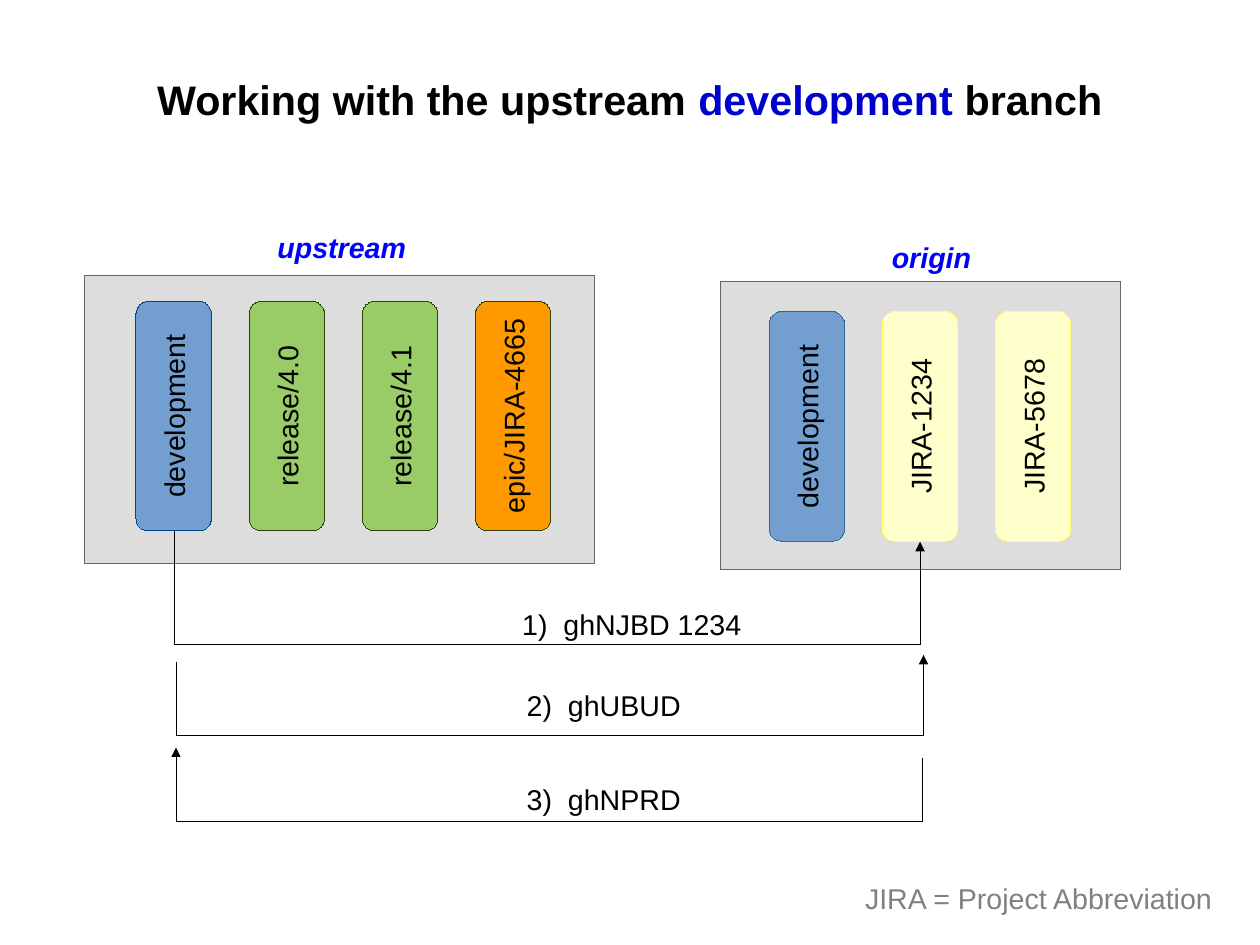
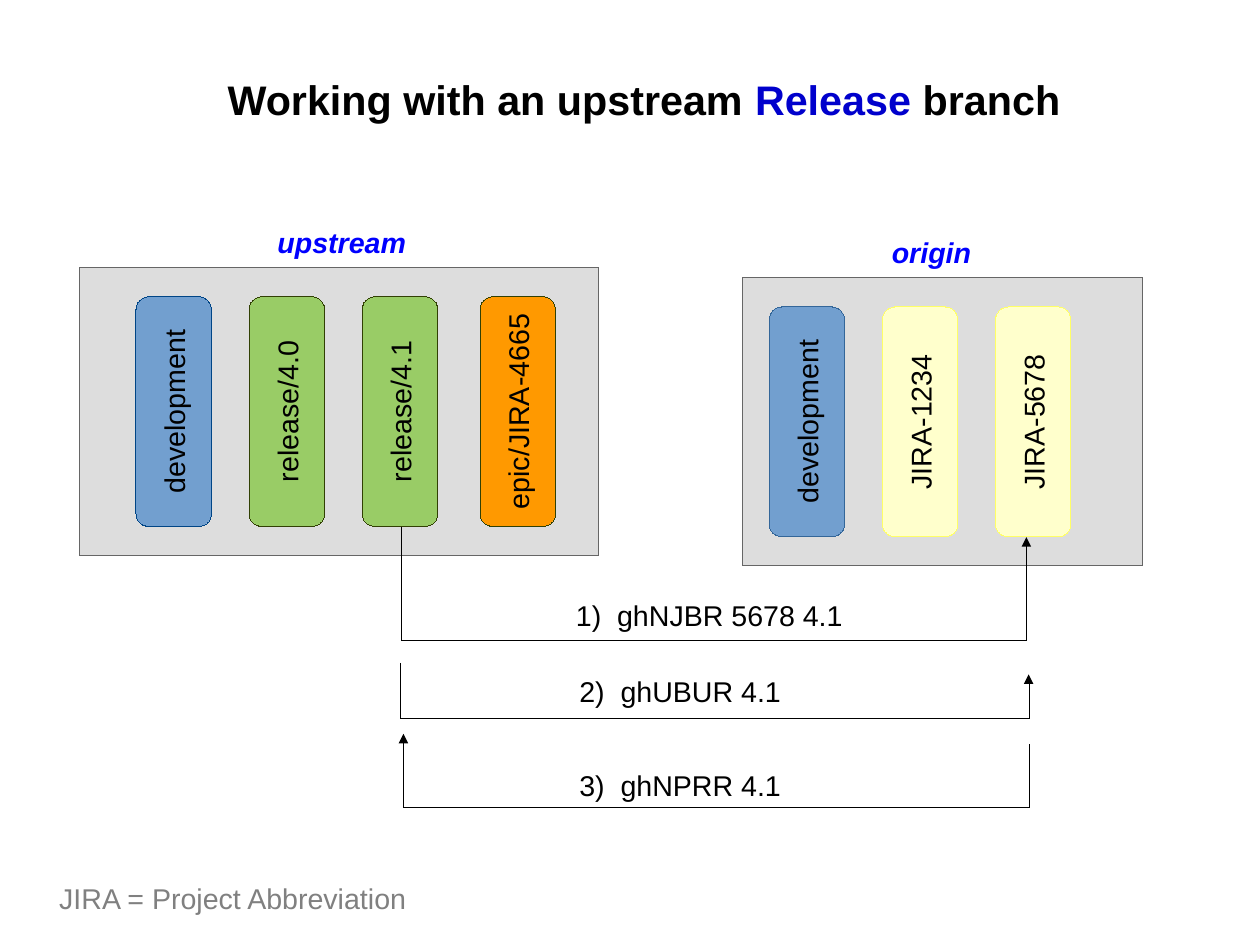
from dataclasses import dataclass
from math import copysign

from lxml.etree import SubElement
from pptx import Presentation
from pptx.dml.color import RGBColor
from pptx.enum.shapes import MSO_CONNECTOR, MSO_SHAPE
from pptx.enum.text import MSO_ANCHOR, MSO_AUTO_SIZE, PP_ALIGN
from pptx.oxml.ns import qn
from pptx.util import Cm, Inches, Pt


@dataclass(frozen=True)
class Theme:
    font: str = "Arial"
    title_size: int = 26
    body_size: int = 18
    text: str = "000000"
    accent: str = "0000CC"
    label: str = "0000FF"
    note: str = "808080"
    white: str = "FFFFFF"
    panel: tuple = ("DDDDDD", "666666")
    upstream_dev: tuple = ("729FCF", "004586")
    origin_dev: tuple = ("729FCF", "336699")
    release: tuple = ("99CC66", "314004")
    epic: tuple = ("FF9900", "314004")
    issue: tuple = ("FFFFCC", "FFFF66")


@dataclass(frozen=True)
class Repo:
    name: str
    label_left: float
    label_width: float
    first_x: float
    branches: tuple


@dataclass(frozen=True)
class Step:
    """A command whose path drops from start to bottom and rises to end."""
    command: str
    at: tuple
    start: tuple
    end: tuple
    bottom: float
    arrow: str = "tailEnd"


T = Theme()
UPSTREAM = Repo("upstream", 2.29, 1.4, 1.52, (
    ("development", T.upstream_dev), ("release/4.0", T.release),
    ("release/4.1", T.release), ("epic/JIRA-4665", T.epic)))
ORIGIN = Repo("origin", 7.6, 1.1, 7.06, (
    ("development", T.origin_dev), ("JIRA-1234", T.issue),
    ("JIRA-5678", T.issue)))
PITCH = 0.99
BRANCH_LENGTH, BRANCH_WIDTH = 2.01, 0.66
PANEL_HEIGHT = 2.52
LABEL_RISE = 1.68
TEXT_HEIGHT = 0.38


def rgb(value):
    return RGBColor.from_string(value)


def set_font(font, color=T.text, size=T.body_size, bold=False, italic=False):
    font.name, font.size = T.font, Pt(size)
    font.bold, font.italic = bold, italic
    font.color.rgb = rgb(color)


def set_hairline(sp, color):
    """Colour the outline and state its zero width, which line.width omits."""
    sp.line.color.rgb = rgb(color)
    ln = sp._element.spPr.find(qn("a:ln"))
    ln.set("w", "0")
    return ln


def add_box(s, kind, box, fill, line=None):
    sp = s.shapes.add_shape(kind, *map(Inches, box))
    sp.shadow.inherit = False
    sp.fill.solid()
    sp.fill.fore_color.rgb = rgb(fill)
    if line:
        set_hairline(sp, line)
    else:
        sp.line.fill.background()
    return sp


def write_centred(sp, text, **style):
    tf = sp.text_frame
    tf.word_wrap = False
    tf.vertical_anchor = MSO_ANCHOR.MIDDLE
    p = tf.paragraphs[0]
    p.text = text
    p.alignment = PP_ALIGN.CENTER
    set_font(p.font, **style)


def add_text(s, text, left, top, width, color=T.text):
    sp = s.shapes.add_textbox(*map(Inches, (left, top, width, TEXT_HEIGHT)))
    tf = sp.text_frame
    tf.word_wrap = False
    tf.auto_size = MSO_AUTO_SIZE.SHAPE_TO_FIT_TEXT
    p = tf.paragraphs[0]
    p.text = text
    set_font(p.font, color)


def set_title(s, parts, left, width):
    """Write the title with its middle part in the accent colour."""
    sp = s.shapes.title
    sp.left, sp.top, sp.width, sp.height = map(Inches, (left, 0.6, width, 0.5))
    tf = sp.text_frame
    tf.word_wrap = False
    tf.auto_size = MSO_AUTO_SIZE.NONE
    tf.vertical_anchor = MSO_ANCHOR.TOP
    p = tf.paragraphs[0]
    p.alignment = PP_ALIGN.CENTER
    for text, color in zip(parts, (T.text, T.accent, T.text)):
        r = p.add_run()
        r.text = text
        set_font(r.font, color, T.title_size, bold=True)


def add_repo(s, repo, panel, center_y, last_nudge=0):
    """Draw a labelled panel and its upright branches around center_y."""
    label = add_box(s, MSO_SHAPE.RECTANGLE,
                    (repo.label_left, center_y - LABEL_RISE, repo.label_width, 0.4), T.white)
    write_centred(label, repo.name, color=T.label, bold=True, italic=True)
    left, top, width = panel
    add_box(s, MSO_SHAPE.RECTANGLE, (left, top, width, PANEL_HEIGHT), *T.panel)
    last = len(repo.branches) - 1
    for i, (name, colors) in enumerate(repo.branches):
        x = repo.first_x + i * PITCH + (last_nudge if i == last else 0)
        box = (x - BRANCH_LENGTH / 2, center_y - BRANCH_WIDTH / 2, BRANCH_LENGTH, BRANCH_WIDTH)
        sp = add_box(s, MSO_SHAPE.ROUNDED_RECTANGLE, box, *colors)
        sp.rotation = 270
        write_centred(sp, name)


def add_u_connector(s, start, end, bottom, arrow):
    """Join two points by an elbow, turned on its side, that dips to bottom."""
    (x1, y1), (x2, y2) = start, end
    drop = y2 - y1
    cx, cy = (x1 + x2) / 2, (y1 + y2) / 2
    dx, dy = abs(drop) / 2, copysign((x2 - x1) / 2, drop)
    line = s.shapes.add_connector(
        MSO_CONNECTOR.ELBOW, *map(Inches, (cx + dx, cy - dy, cx - dx, cy + dy)))
    ln = set_hairline(line, T.text)
    SubElement(ln, qn(f"a:{arrow}"), type="triangle")
    props = line._element.spPr
    props.find(qn("a:xfrm")).set("rot", str((270 if drop > 0 else 90) * 60000))
    guides = props.find(qn("a:prstGeom")).get_or_add_avLst()
    SubElement(guides, qn("a:gd"), name="adj1",
               fmla=f"val {round((bottom - y1) / drop * 100000)}")
    SubElement(props, qn("a:effectLst"))


def add_step(s, number, step):
    add_u_connector(s, step.start, step.end, step.bottom, step.arrow)
    add_text(s, f"{number})  {step.command}", *step.at)


def add_workflow(prs, title, upstream, origin, steps, note_left):
    s = prs.slides.add_slide(prs.slide_layouts[5])
    set_title(s, *title)
    add_repo(s, UPSTREAM, *upstream)
    add_repo(s, ORIGIN, *origin)
    for number, step in enumerate(steps, 1):
        add_step(s, number, step)
    add_text(s, "JIRA = Project Abbreviation", note_left, 7.66, 3.27, T.note)


def main():
    prs = Presentation()
    prs.slide_width, prs.slide_height = Cm(28), Cm(21)
    add_workflow(
        prs,
        title=(("Working with the upstream ", "development", " branch"), 1.27, 8.48),
        upstream=((0.74, 2.41, 4.46), 3.64),
        origin=((6.3, 2.46, 3.5), 3.73),
        steps=(
            Step("ghNJBD 1234", (4.47, 5.26, 2.16), (1.52, 4.65), (8.05, 4.74), 5.63),
            Step("ghUBUD", (4.51, 5.97, 1.59), (1.54, 5.79), (8.08, 5.73), 6.43),
            Step("ghNPRD", (4.51, 6.79, 1.59), (1.54, 6.54), (8.07, 6.63), 7.18, "headEnd")),
        note_left=7.47)
    add_workflow(
        prs,
        title=(("Working with an upstream ", "Release", " branch"), 1.78, 7.71),
        upstream=((0.7, 2.34, 4.54), 3.6, 0.04),
        origin=((6.5, 2.43, 3.5), 3.69),
        steps=(
            Step("ghNJBR 5678 4.1", (4.94, 5.18, 2.57), (3.51, 4.61), (8.98, 4.7), 5.6),
            Step("ghUBUR 4.1", (4.97, 5.85, 2), (3.5, 5.8), (9, 5.9), 6.28),
            Step("ghNPRR 4.1", (4.97, 6.67, 2), (3.53, 6.42), (9, 6.51), 7.06, "headEnd")),
        note_left=0.42)
    prs.save("out.pptx")


if __name__ == "__main__":
    main()
